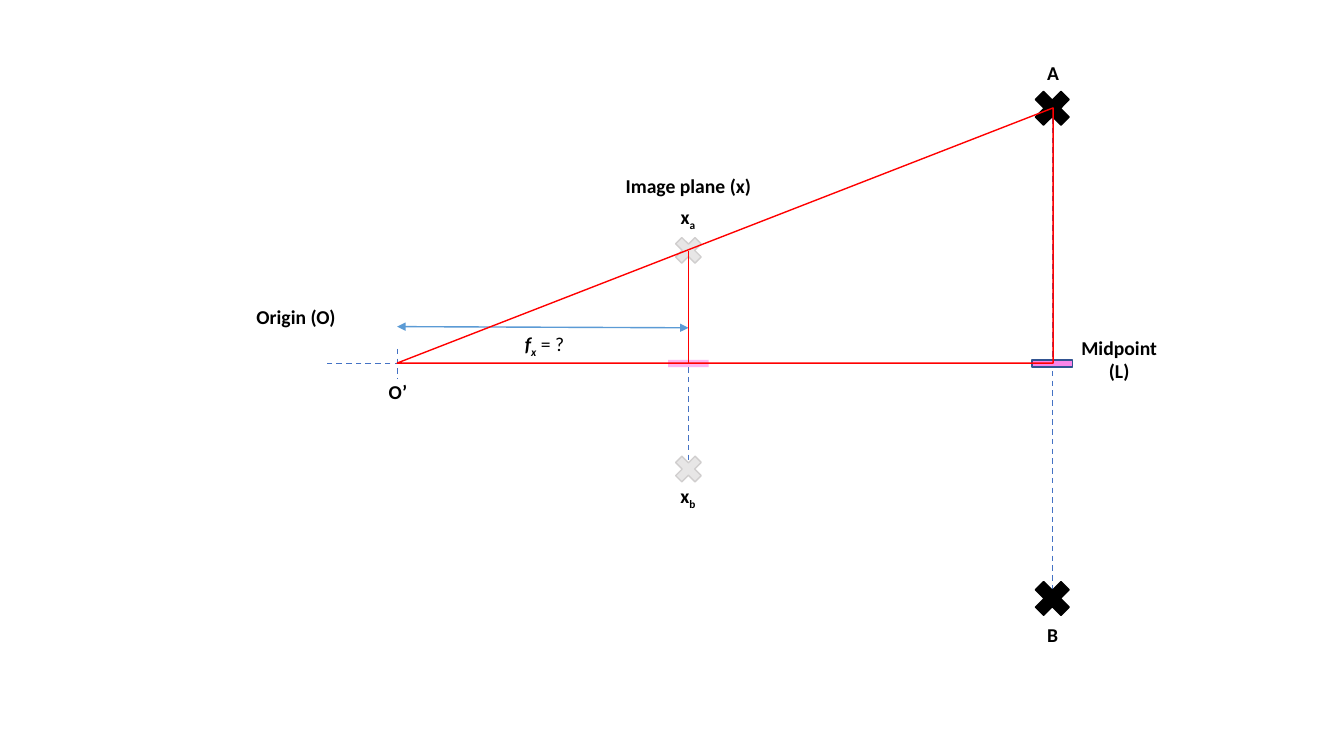
from lxml import etree
from pptx import Presentation
from pptx.dml.color import RGBColor
from pptx.enum.dml import MSO_LINE_DASH_STYLE as Dash
from pptx.enum.shapes import MSO_CONNECTOR, MSO_SHAPE as Preset
from pptx.enum.text import MSO_AUTO_SIZE as AutoSize, PP_ALIGN as Align
from pptx.oxml.ns import qn
from pptx.util import Cm, Pt

BLACK = RGBColor(0x00, 0x00, 0x00)
RED = RGBColor(0xFF, 0x00, 0x00)
BLUE = RGBColor(0x44, 0x72, 0xC4)
LIGHT_BLUE = RGBColor(0x5B, 0x9B, 0xD5)
DARK_BLUE = RGBColor(0x32, 0x54, 0x91)
PINK = RGBColor(0xFA, 0x86, 0xE9)
PALE_GREY = RGBColor(0xE7, 0xE6, 0xE6)
GREY = RGBColor(0xD0, 0xCE, 0xCE)

# Key positions of the geometry, in centimetres
ORIGIN_X, PLANE_X, OBJECT_X = 10.01, 17.35, 26.52
AXIS_Y = 9.16
A_Y, B_Y = 2.73, 15.08
XA_Y, XB_Y = 6.31, 11.82

deck = Presentation()
deck.slide_width, deck.slide_height = Cm(33.87), Cm(19.05)
page = deck.slides.add_slide(deck.slide_layouts[6])


def add_line(x1, y1, x2, y2, color, dash=None):
    line = page.shapes.add_connector(
        MSO_CONNECTOR.STRAIGHT, Cm(x1), Cm(y1), Cm(x2), Cm(y2))
    line.line.color.rgb = color
    line.line.width = Pt(1)
    line.line.dash_style = dash
    etree.SubElement(line._element.spPr, qn("a:effectLst"))
    return line


def add_centred(preset, x, y, width, height, fill, outline):
    shape = page.shapes.add_shape(
        preset, Cm(x - width / 2), Cm(y - height / 2), Cm(width), Cm(height))
    shape.shadow.inherit = False
    if fill is None:
        shape.fill.background()
    else:
        shape.fill.solid()
        shape.fill.fore_color.rgb = fill
    if outline is None:
        shape.line.fill.background()
    else:
        shape.line.color.rgb = outline
        shape.line.width = Pt(1)
    return shape


# Object and image planes with a cross at either end
for x, top, bottom, size, fill, outline in (
    (OBJECT_X, A_Y, B_Y, 1.24, BLACK, BLACK),
    (PLANE_X, XA_Y, XB_Y, 0.94, PALE_GREY, GREY),
):
    add_line(x, top, x, bottom, BLUE, Dash.DASH)
    for y in (top, bottom):
        add_centred(Preset.MATH_MULTIPLY, x, y, size, size, fill, outline)

# Optical axis, its midpoint markers and the tick at the origin
midpoint = add_centred(Preset.RECTANGLE, OBJECT_X, AXIS_Y, 1.02, 0.18, PINK, DARK_BLUE)
axis = add_line(OBJECT_X - 0.51, AXIS_Y, 8.15, AXIS_Y, BLUE, Dash.DASH)
axis.begin_connect(midpoint, 1)
marker = add_centred(Preset.RECTANGLE, PLANE_X, AXIS_Y, 1.02, 0.18, PINK, None)
marker_color = marker._element.spPr.find(qn("a:solidFill"))[0]
etree.SubElement(marker_color, qn("a:alpha"), val="60000")
add_line(ORIGIN_X, 8.79, ORIGIN_X, 9.53, BLUE, Dash.DASH)

# Focal length arrow
focal = add_line(PLANE_X, 8.26, ORIGIN_X, 8.23, LIGHT_BLUE)
for end in ("a:headEnd", "a:tailEnd"):
    etree.SubElement(focal.line._get_or_add_ln(), qn(end), type="triangle")

# Similar triangles
triangle = add_centred(
    Preset.RIGHT_TRIANGLE, (ORIGIN_X + 26.54) / 2, (2.72 + 9.15) / 2,
    26.54 - ORIGIN_X, 9.15 - 2.72, None, RED)
triangle._element.spPr.xfrm.set("flipH", "1")
add_line(PLANE_X, 6.32, PLANE_X, 9.15, RED)

# Labels: left, top, width, height, alignment, runs with their formats
BOLD = {"bold": True}
BOLD_ITALIC = {"bold": True, "italic": True}
SUBSCRIPT = {"baseline": "-25000"}
LABELS = (
    (12.98, 8.23, 1.6, 0.86, Align.LEFT,
     (("f", BOLD_ITALIC), ("x", BOLD_ITALIC | SUBSCRIPT), (" = ?", {}))),
    (6.1, 7.57, 2.72, 0.86, Align.CENTER, (("Origin (O)", BOLD),)),
    (15.37, 4.27, 3.96, 0.86, Align.CENTER, (("Image plane (x)", BOLD),)),
    (25.41, 1.4, 2.26, 0.86, Align.CENTER, (("A", BOLD),)),
    (25.4, 15.57, 2.26, 0.86, Align.CENTER, (("B", BOLD),)),
    (9.37, 9.45, 1.32, 0.86, Align.CENTER, (("O’", BOLD),)),
    (15.6, 5.03, 3.48, 0.86, Align.CENTER, (("x", BOLD), ("a", BOLD | SUBSCRIPT))),
    (15.6, 12.07, 3.48, 0.86, Align.CENTER, (("x", BOLD), ("b", BOLD | SUBSCRIPT))),
    (26.87, 8.33, 2.67, 1.45, Align.CENTER, (("Midpoint (L)", BOLD),)),
)
for left, top, width, height, align, runs in LABELS:
    box = page.shapes.add_textbox(Cm(left), Cm(top), Cm(width), Cm(height))
    box.text_frame.word_wrap = True
    box.text_frame.auto_size = AutoSize.SHAPE_TO_FIT_TEXT
    para = box.text_frame.paragraphs[0]
    para.alignment = align
    for text, formats in runs:
        span = para.add_run()
        span.text = text
        span.font.color.rgb = BLACK
        for name, value in ({"name": "Calibri", "size": Pt(14)} | formats).items():
            if name == "baseline":
                span.font._element.set(name, value)
            else:
                setattr(span.font, name, value)

deck.save("out.pptx")
